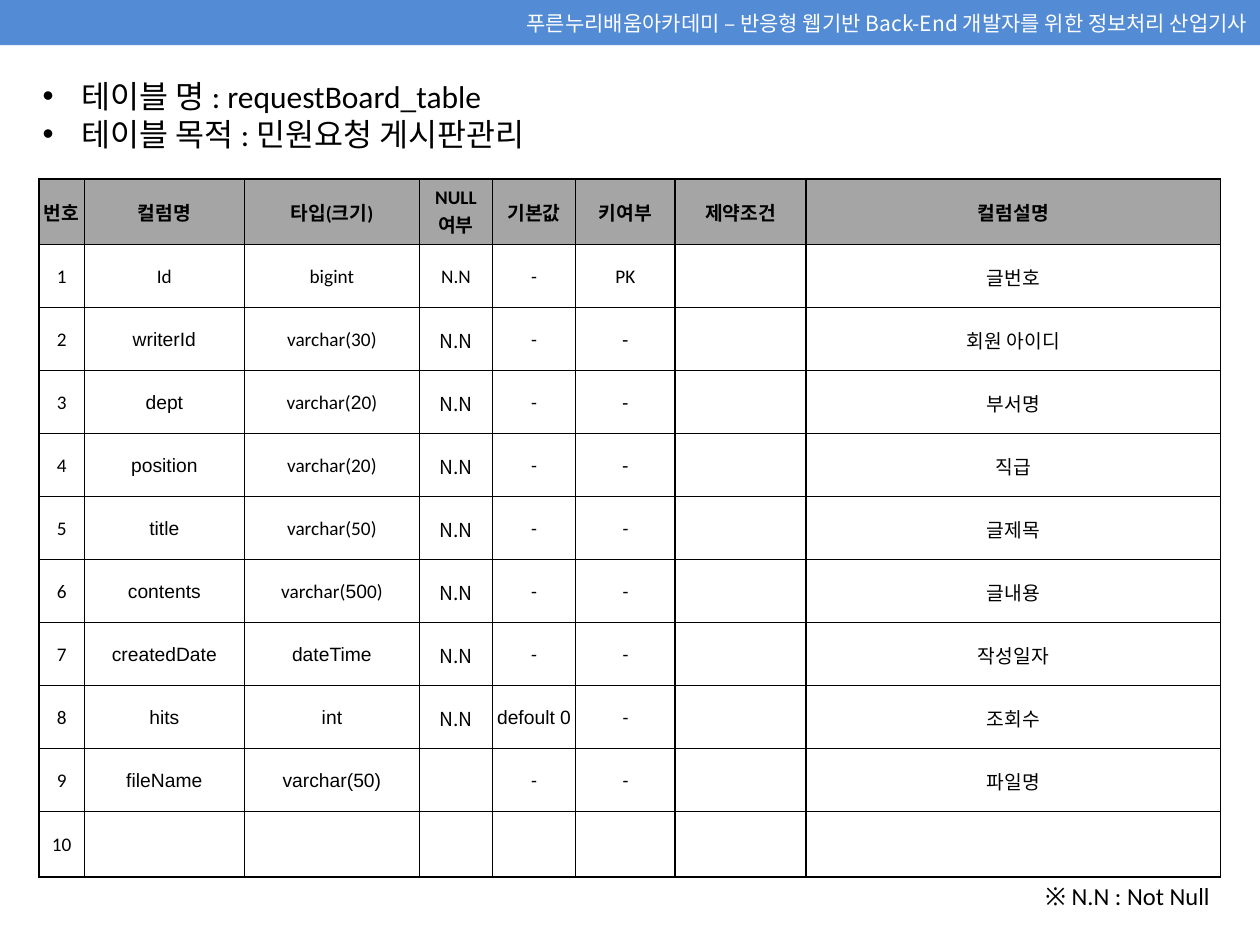
import pptx
import pptx.util
import pptx.dml.color
import pptx.enum.shapes
import pptx.enum.text
import pptx.oxml
import pptx.oxml.ns

Inches, Pt = pptx.util.Inches, pptx.util.Pt
RGBColor = pptx.dml.color.RGBColor
ALIGN = pptx.enum.text.PP_ALIGN
MIDDLE = pptx.enum.text.MSO_ANCHOR.MIDDLE
qn = pptx.oxml.ns.qn

BLACK = RGBColor(0, 0, 0)
WHITE = RGBColor(255, 255, 255)
BLUE = RGBColor(0x53, 0x8C, 0xD5)
GRAY = RGBColor(0xA5, 0xA5, 0xA5)
ARIAL, CALIBRI, NOTO = "Arial", "Calibri", "Noto Sans CJK KR"

BANNER = "푸른누리배움아카데미 – 반응형 웹기반 Back-End 개발자를 위한 정보처리 산업기사"
TITLES = ["테이블 명 : requestBoard_table", "테이블 목적 : 민원요청 게시판관리"]
NOTE = "※ N.N : Not Null"
HEADS = ["번호", "컬럼명", "타입(크기)", "NULL 여부", "기본값", "키여부", "제약조건", "컬럼설명"]
WIDTHS = [0.36, 1.27, 1.39, 0.58, 0.66, 0.79, 1.04, 3.29]
FONTS = [CALIBRI, ARIAL, CALIBRI, NOTO, CALIBRI, CALIBRI, CALIBRI, ARIAL]
END, MID = 0.52, 0.5  # heights of the outer and the inner rows


def cal(text):
    return [(text, CALIBRI)]


def ari(text):
    return [(text, ARIAL)]


# A plain string takes its column's font; a list holds (text, font) runs.
ROWS = [
    ["Id", "bigint", "N.N", "-", "PK", "", ari("글") + cal("번호")],
    ["writerId", "varchar(30)", "N.N", "-", ari("-"), "", ari("회원") + cal(" 아이디")],
    ["dept", cal("varchar(") + ari("2") + cal("0)"), "N.N", "-", ari("-"), "", "부서명"],
    ["position", "varchar(20)", "N.N", "-", ari("-"), "", "직급"],
    ["title", "varchar(50)", "N.N", "-", "-", "", "글제목"],
    ["contents", cal("varchar(") + ari("50") + cal("0)"), "N.N", "-", "-", "", "글내용"],
    ["createdDate", ari("dateTime"), "N.N", "-", "-", "", "작성일자"],
    ["hits", ari("int"), "N.N", ari("defoult 0"), "-", "", "조회수"],
    ["fileName", ari("varchar(50)"), "", "-", "-", "", "파일명"],
    [""] * 7,
]


def style(font, name, size, color=BLACK, bold=False):
    for key, val in {"name": name, "size": Pt(size), "bold": bold}.items():
        setattr(font, key, val)
    font.color.rgb = color


def write(para, runs, size, align, asian=NOTO, **look):
    """Fill a paragraph with (text, font) runs; asian is the Korean font."""
    para.alignment = align
    for text, name in runs:
        run = para.add_run()
        run.text = text
        style(run.font, name, size, **look)
        latin = run.font._element.find(qn("a:latin"))
        east = pptx.oxml.parse_xml(
            f'<a:ea {pptx.oxml.ns.nsdecls("a")} typeface="{asian}"/>')
        latin.addnext(east)


def bullet(para):
    props = para._p.get_or_add_pPr()
    props.set("marL", str(Inches(0.31)))
    props.set("indent", str(-Inches(0.31)))
    decl = pptx.oxml.ns.nsdecls("a")
    for xml in (f'<a:buFont {decl} typeface="Arial"/>', f'<a:buChar {decl} char="•"/>'):
        props.append(pptx.oxml.parse_xml(xml))


def border(cell):
    props = cell._tc.get_or_add_tcPr()
    for spot, side in enumerate(("lnL", "lnR", "lnT", "lnB")):
        props.insert(spot, pptx.oxml.parse_xml(
            f'<a:{side} {pptx.oxml.ns.nsdecls("a")} w="{Pt(1)}"><a:solidFill>'
            f'<a:srgbClr val="{BLACK}"/></a:solidFill></a:{side}>'))


def box(slide, at, lines, size, align, marks=False):
    frame = slide.shapes.add_textbox(*map(Inches, at)).text_frame
    frame.word_wrap = True
    frame.auto_size = pptx.enum.text.MSO_AUTO_SIZE.SHAPE_TO_FIT_TEXT
    for i, line in enumerate(lines):
        para = frame.add_paragraph() if i else frame.paragraphs[0]
        write(para, cal(line), size, align, asian=CALIBRI)
        if marks:
            bullet(para)


def banner(slide):
    rect = pptx.enum.shapes.MSO_SHAPE.RECTANGLE
    bar = slide.shapes.add_shape(rect, 0, 0, Inches(10), Inches(0.36))
    bar.shadow.inherit = False
    bar.fill.solid()
    bar.fill.fore_color.rgb = BLUE
    bar.line.fill.background()
    bar.text_frame.vertical_anchor = MIDDLE
    bar.text_frame.word_wrap = True
    write(bar.text_frame.paragraphs[0], [(BANNER, NOTO)], 12, ALIGN.RIGHT, color=WHITE)


def grid(slide):
    highs = [END] + [MID] * (len(ROWS) - 1) + [END]
    size = map(Inches, (0.31, 1.42, sum(WIDTHS), sum(highs)))
    table = slide.shapes.add_table(len(highs), len(WIDTHS), *size).table
    for col, wide in zip(table.columns, WIDTHS):
        col.width = Inches(wide)
    body = [[str(n)] + row for n, row in enumerate(ROWS, 1)]
    for r, (row, high) in enumerate(zip([HEADS] + body, highs)):
        table.rows[r].height = Inches(high)
        for c, item in enumerate(row):
            cell = table.cell(r, c)
            cell.vertical_anchor = MIDDLE
            for side in ("left", "right", "top"):
                setattr(cell, f"margin_{side}", Inches(0.01))
            cell.margin_bottom = 0
            if r == 0:
                cell.fill.solid()
                cell.fill.fore_color.rgb = GRAY
            else:
                cell.fill.background()
            border(cell)
            para = cell.text_frame.paragraphs[0]
            if not item:
                continue
            name = CALIBRI if r < 2 else FONTS[c]
            runs = [(item, name)] if isinstance(item, str) else item
            write(para, runs, 11, ALIGN.CENTER, bold=r == 0)


def main():
    deck = pptx.Presentation()
    deck.slide_width, deck.slide_height = Inches(10), Inches(7.5)
    slide = deck.slides.add_slide(deck.slide_layouts[6])
    banner(slide)
    box(slide, (0.24, 0.56, 9.49, 0.71), TITLES, 18, ALIGN.LEFT, marks=True)
    grid(slide)
    box(slide, (8.15, 6.94, 1.55, 0.34), [NOTE], 14, ALIGN.RIGHT)
    deck.save("out.pptx")


if __name__ == "__main__":
    main()
